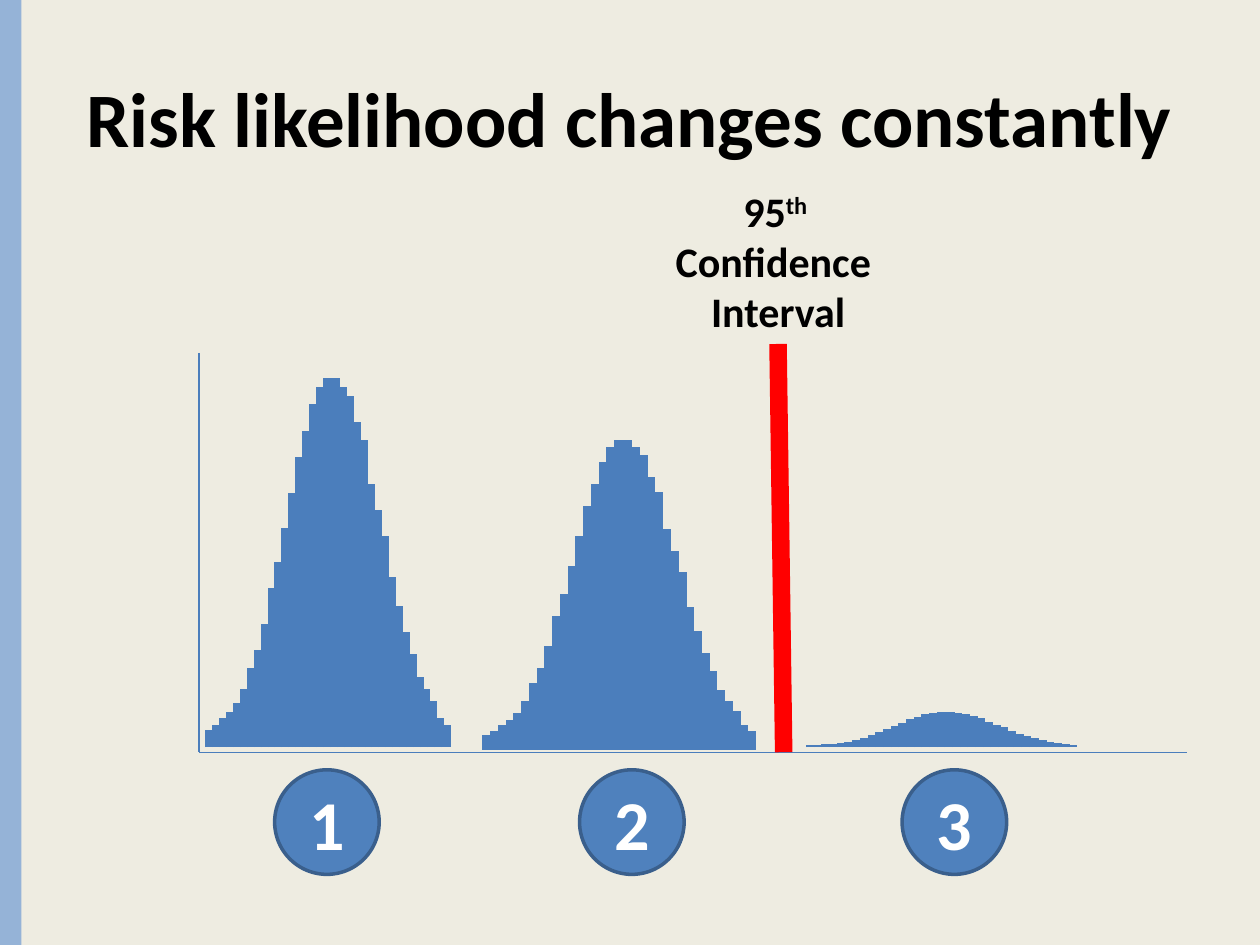
from dataclasses import dataclass

from lxml import etree
from pptx import Presentation
from pptx.dml.color import RGBColor
from pptx.enum import shapes, text
from pptx.oxml.ns import qn
from pptx.util import Inches, Pt


@dataclass(frozen=True)
class Theme:
    font: str = "Calibri"
    background: str = "EEECE1"
    stripe: str = "95B3D7"
    bars: str = "4B7EBC"
    badge: str = "4F81BD"
    badge_edge: str = "3A5F8C"
    limit: str = "FF0000"
    dark: str = "000000"
    light: str = "FFFFFF"
    title_size: int = 44
    badge_size: int = 40
    label_size: int = 24


THEME = Theme()

# Bar heights of the bell curve in inches; smaller curves are scaled from it
BELL = [0.14, 0.18, 0.23, 0.28, 0.35, 0.46, 0.63, 0.77, 0.98, 1.26, 1.47, 1.74,
        2.02, 2.30, 2.51, 2.72, 2.86, 2.93, 2.93, 2.86, 2.79, 2.58, 2.44, 2.09,
        1.88, 1.68, 1.35, 1.12, 0.91, 0.74, 0.56, 0.46, 0.37, 0.23, 0.18]

# First bar, last bar, baseline (from the chart's left and top) and peak height
CURVES = [(0.09, 1.96, 3.13, 2.93), (2.29, 4.38, 3.15, 2.46), (4.86, 6.93, 3.13, 0.28)]


def color(value):
    return RGBColor.from_string(value)


def style_paragraph(paragraph, size, ink):
    paragraph.alignment = text.PP_ALIGN.CENTER
    font = paragraph.font
    font.name, font.size, font.bold = THEME.font, Pt(size), True
    font.color.rgb = color(ink)


def add_line(parent, x1, y1, x2, y2, ink, width):
    line = parent.add_connector(shapes.MSO_CONNECTOR.STRAIGHT,
                                Inches(x1), Inches(y1), Inches(x2), Inches(y2))
    line.line.color.rgb = color(ink)
    line.line.width = Pt(width)
    etree.SubElement(line._element.spPr, qn("a:effectLst"))
    return line


def add_box(slide, kind, left, top, width, height, fill):
    box = slide.shapes.add_shape(kind, Inches(left), Inches(top),
                                 Inches(width), Inches(height))
    box.shadow.inherit = False
    box.fill.solid()
    box.fill.fore_color.rgb = color(fill)
    return box


def add_background(slide, height):
    slide.background.fill.solid()
    slide.background.fill.fore_color.rgb = color(THEME.background)
    stripe = add_box(slide, shapes.MSO_SHAPE.RECTANGLE, 0, 0, 0.17, height, THEME.stripe)
    stripe.line.fill.background()


def add_title(slide, left, top, width, height, wording):
    title = slide.shapes.add_textbox(Inches(left), Inches(top),
                                     Inches(width), Inches(height))
    frame = title.text_frame
    frame.word_wrap = True
    frame.vertical_anchor = text.MSO_ANCHOR.MIDDLE
    frame.text = wording
    style_paragraph(frame.paragraphs[0], THEME.title_size, THEME.dark)


def add_bell_curve(slide, first, last, base, peak):
    curve = slide.shapes.add_group_shape()
    step = (last - first) / (len(BELL) - 1)
    scale = peak / max(BELL)
    for i, height in enumerate(BELL):
        x = first + i * step
        add_line(curve.shapes, x, base, x, base - height * scale, THEME.bars, 6)


def add_distributions(slide, left, top, width, height):
    for first, last, base, peak in CURVES:
        add_bell_curve(slide, left + first, left + last, top + base, peak)
    bottom = top + height
    add_line(slide.shapes, left, top, left, bottom, THEME.bars, 0.75)
    add_line(slide.shapes, left + width, bottom, left, bottom, THEME.bars, 0.75)


def add_badges(slide, lefts, top, size):
    for number, left in enumerate(lefts, start=1):
        badge = add_box(slide, shapes.MSO_SHAPE.OVAL, left, top, size, size, THEME.badge)
        badge.line.color.rgb = color(THEME.badge_edge)
        badge.line.width = Pt(2)
        frame = badge.text_frame
        frame.vertical_anchor = text.MSO_ANCHOR.MIDDLE
        frame.text = str(number)
        style_paragraph(frame.paragraphs[0], THEME.badge_size, THEME.light)


def add_confidence_limit(slide, left, top, width, height, foot_x, foot_y):
    label = slide.shapes.add_textbox(Inches(left), Inches(top),
                                     Inches(width), Inches(height))
    frame = label.text_frame
    frame.word_wrap = False
    paragraph = frame.paragraphs[0]
    paragraph.add_run().text = "95"
    ordinal = paragraph.add_run()
    ordinal.text = "th "
    ordinal._r.get_or_add_rPr().set("baseline", "30000")
    for wording in ("Confidence ", "Interval"):
        paragraph.add_line_break()
        paragraph.add_run().text = wording
    style_paragraph(paragraph, THEME.label_size, THEME.dark)

    limit = add_line(slide.shapes, left + width / 2, top + height,
                     foot_x, foot_y, THEME.limit, 10)
    limit.begin_connect(label, 2)


def main():
    deck = Presentation()
    deck.slide_width, deck.slide_height = Inches(10), Inches(7.5)
    slide = deck.slides.add_slide(deck.slide_layouts[6])

    add_background(slide, 7.5)
    add_distributions(slide, 1.58, 2.8, 7.84, 3.17)
    add_title(slide, 0.5, 0.3, 9, 1.25, "Risk likelihood changes constantly")
    add_badges(slide, (2.18, 4.6, 7.16), 6.11, 0.83)
    add_confidence_limit(slide, 5.25, 1.42, 1.85, 1.31, 6.22, 5.97)

    deck.save("out.pptx")


if __name__ == "__main__":
    main()
